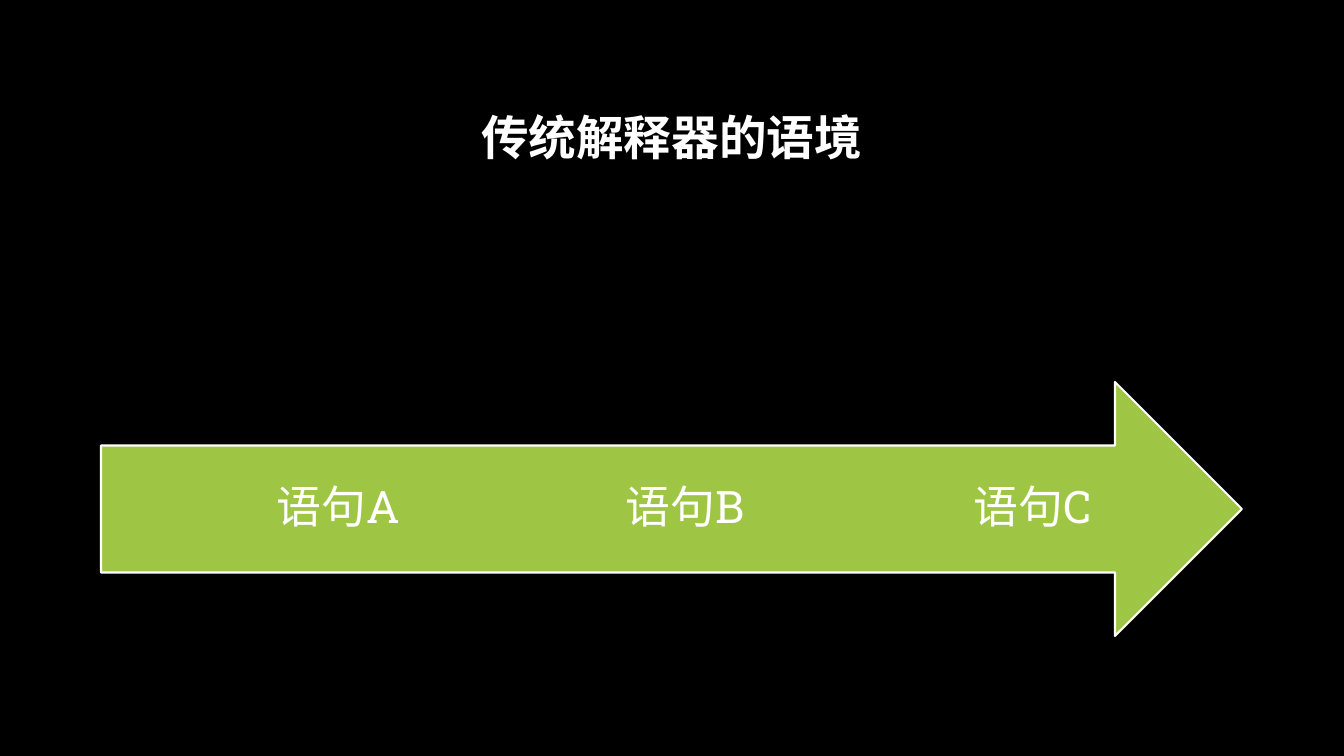
from dataclasses import dataclass

from pptx import Presentation
from pptx.dml.color import RGBColor
from pptx.enum.shapes import MSO_SHAPE as Shape
from pptx.enum.text import MSO_ANCHOR as Anchor, PP_ALIGN as Align
from pptx.slide import Slide
from pptx.util import Emu, Pt

SCALE = 914400 / 100.8
WHITE = "FFFFFF"


@dataclass
class Label:
    """Centred text in a box measured in px."""
    text: str
    left: int
    top: int
    width: int
    height: int
    size: int
    bold: bool = False


def px(n: int) -> Emu:
    """Turn px into EMU."""
    return Emu(round(n * SCALE))


def color(code: str) -> RGBColor:
    """Turn a hex string into a colour."""
    return RGBColor.from_string(code)


def write(slide: Slide, label: Label) -> None:
    """Draw one label."""
    box = slide.shapes.add_textbox(px(label.left), px(label.top), px(label.width), px(label.height))
    frame = box.text_frame
    frame.word_wrap = True
    frame.vertical_anchor = Anchor.MIDDLE
    frame.margin_left = frame.margin_right = 0
    para = frame.paragraphs[0]
    para.alignment = Align.CENTER
    para.line_spacing = 0.9
    run = para.add_run()
    run.text = label.text
    font = run.font
    font.name = "Roboto Slab"
    font.size = Pt(label.size)
    font.bold = label.bold
    font.color.rgb = color(WHITE)


def draw_arrow(slide: Slide) -> None:
    """Draw the arrow of running order."""
    arrow = slide.shapes.add_shape(Shape.RIGHT_ARROW, px(101), px(382), px(1141), px(254))
    arrow.shadow.inherit = False
    arrow.fill.solid()
    arrow.fill.fore_color.rgb = color("9EC544")
    arrow.line.color.rgb = color(WHITE)
    arrow.line.width = Pt(1.5)


def main() -> None:
    """Build and save the slide."""
    deck = Presentation()
    deck.slide_width, deck.slide_height = px(1344), px(756)
    slide = deck.slides.add_slide(deck.slide_layouts[6])
    back = slide.background.fill
    back.solid()
    back.fore_color.rgb = color("000000")
    write(slide, Label("传统解释器的语境", 101, 67, 1141, 146, 34, True))
    draw_arrow(slide)
    for i, name in enumerate("ABC"):
        write(slide, Label(f"语句{name}", 194 + 347 * i, 446, 289, 127, 32))
    deck.save("out.pptx")


if __name__ == "__main__":
    main()
